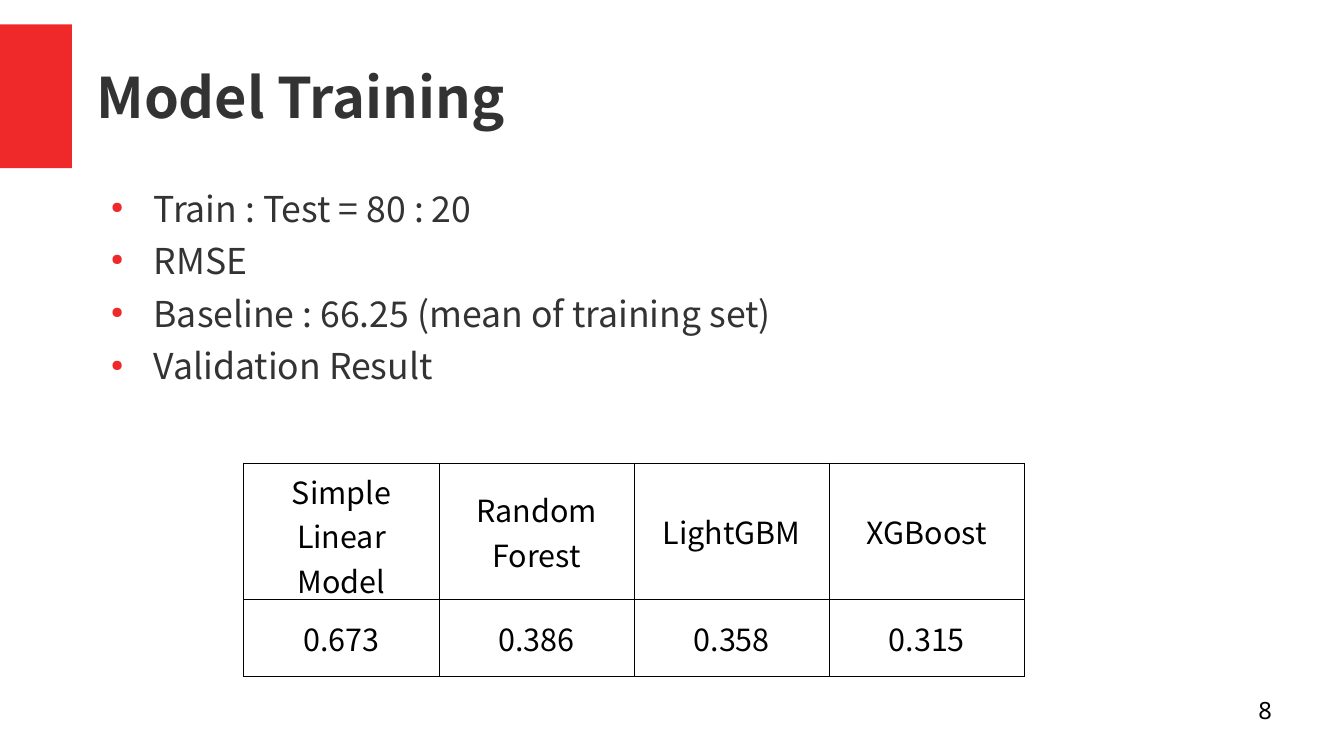
from typing import NamedTuple

from lxml.etree import SubElement
from pptx import Presentation
from pptx.dml.color import RGBColor
from pptx.enum.shapes import MSO_SHAPE
from pptx.enum.text import MSO_ANCHOR, PP_ALIGN
from pptx.oxml.ns import qn
from pptx.util import Inches, Pt

RED, DARK, BLACK = "EF2929", "333333", "000000"
FONT = "Noto Sans CJK KR"


class Box(NamedTuple):
    x: float
    y: float
    w: float
    h: float

    def lengths(self) -> list:
        return [Inches(v) for v in self]


class Model(NamedTuple):
    name: str
    rmse: str


ACCENT = Box(0, 0.2, 0.59, 1.18)
TITLE = Box(0.79, 0.2, 9.84, 1.18)
BODY = Box(0.79, 1.57, 9.84, 2.1)
TABLE = Box(2, 3.8, 6.4, 1.75)
NUMBER = Box(7.87, 5.71, 2.56, 0.43)
ROW_HEIGHTS = (1.12, 0.63)

POINTS = (
    "Train : Test = 80 : 20",
    "RMSE",
    "Baseline : 66.25 (mean of training set)",
    "Validation Result",
)
MODELS = (
    Model("Simple Linear Model", "0.673"),
    Model("Random Forest", "0.386"),
    Model("LightGBM", "0.358"),
    Model("XGBoost", "0.315"),
)


def rgb(value: str) -> RGBColor:
    return RGBColor.from_string(value)


def set_all(target, **values) -> None:
    for name, value in values.items():
        setattr(target, name, value)


def write(p, text: str, size: float, color: str, align=PP_ALIGN.LEFT,
          font: str = FONT, bold: bool = False) -> None:
    p.alignment = align
    r = p.add_run()
    r.text = text
    set_all(r.font, name=font, size=Pt(size), bold=bold)
    r.font.color.rgb = rgb(color)


def set_frame(tf, anchor=MSO_ANCHOR.TOP) -> None:
    set_all(tf, word_wrap=True, vertical_anchor=anchor, margin_left=0,
            margin_right=0, margin_top=0, margin_bottom=0)


def add_bullet(p) -> None:
    pPr = p._p.get_or_add_pPr()
    pPr.set("marL", str(Inches(0.47)))
    pPr.set("indent", str(Inches(-0.35)))
    SubElement(SubElement(pPr, qn("a:buClr")), qn("a:srgbClr"), val=RED)
    SubElement(pPr, qn("a:buSzPct"), val="45000")
    SubElement(pPr, qn("a:buChar"), char="●")


def add_borders(cell) -> None:
    tcPr = cell._tc.get_or_add_tcPr()
    for side in ("lnL", "lnR", "lnT", "lnB"):
        ln = SubElement(tcPr, qn(f"a:{side}"), w=str(Pt(0.57)))
        SubElement(SubElement(ln, qn("a:solidFill")), qn("a:srgbClr"), val=BLACK)


def add_accent(s) -> None:
    sp = s.shapes.add_shape(MSO_SHAPE.RECTANGLE, *ACCENT.lengths())
    sp.shadow.inherit = False
    sp.fill.solid()
    sp.fill.fore_color.rgb = rgb(RED)
    sp.line.fill.background()


def add_title(s) -> None:
    sp = s.shapes.title
    sp.left, sp.top, sp.width, sp.height = TITLE.lengths()
    set_frame(sp.text_frame, MSO_ANCHOR.MIDDLE)
    write(sp.text_frame.paragraphs[0], "Model Training", 33, DARK, bold=True)


def add_points(s) -> None:
    tf = s.shapes.add_textbox(*BODY.lengths()).text_frame
    set_frame(tf)
    for i, text in enumerate(POINTS):
        p = tf.add_paragraph() if i else tf.paragraphs[0]
        add_bullet(p)
        set_all(p, line_spacing=0.9, space_after=Pt(8.4))
        write(p, text, 21, DARK)


def add_results(s) -> None:
    table = s.shapes.add_table(len(ROW_HEIGHTS), len(MODELS), *TABLE.lengths()).table
    set_all(table, first_row=False, horz_banding=False)
    for row, height in zip(table.rows, ROW_HEIGHTS):
        row.height = Inches(height)
    for col, model in enumerate(MODELS):
        for row, text in enumerate(model):
            cell = table.cell(row, col)
            cell.vertical_anchor = MSO_ANCHOR.MIDDLE
            add_borders(cell)
            cell.fill.background()
            write(cell.text_frame.paragraphs[0], text, 18, BLACK, PP_ALIGN.CENTER)


def add_number(s) -> None:
    tf = s.shapes.add_textbox(*NUMBER.lengths()).text_frame
    set_frame(tf)
    write(tf.paragraphs[0], "8", 14, BLACK, PP_ALIGN.RIGHT, "Noto Sans")


def main() -> None:
    prs = Presentation()
    set_all(prs, slide_width=Inches(11.02), slide_height=Inches(6.2))
    s = prs.slides.add_slide(prs.slide_layouts.get_by_name("Title Only"))
    for add_part in (add_accent, add_title, add_points, add_results, add_number):
        add_part(s)
    prs.save("out.pptx")


if __name__ == "__main__":
    main()
